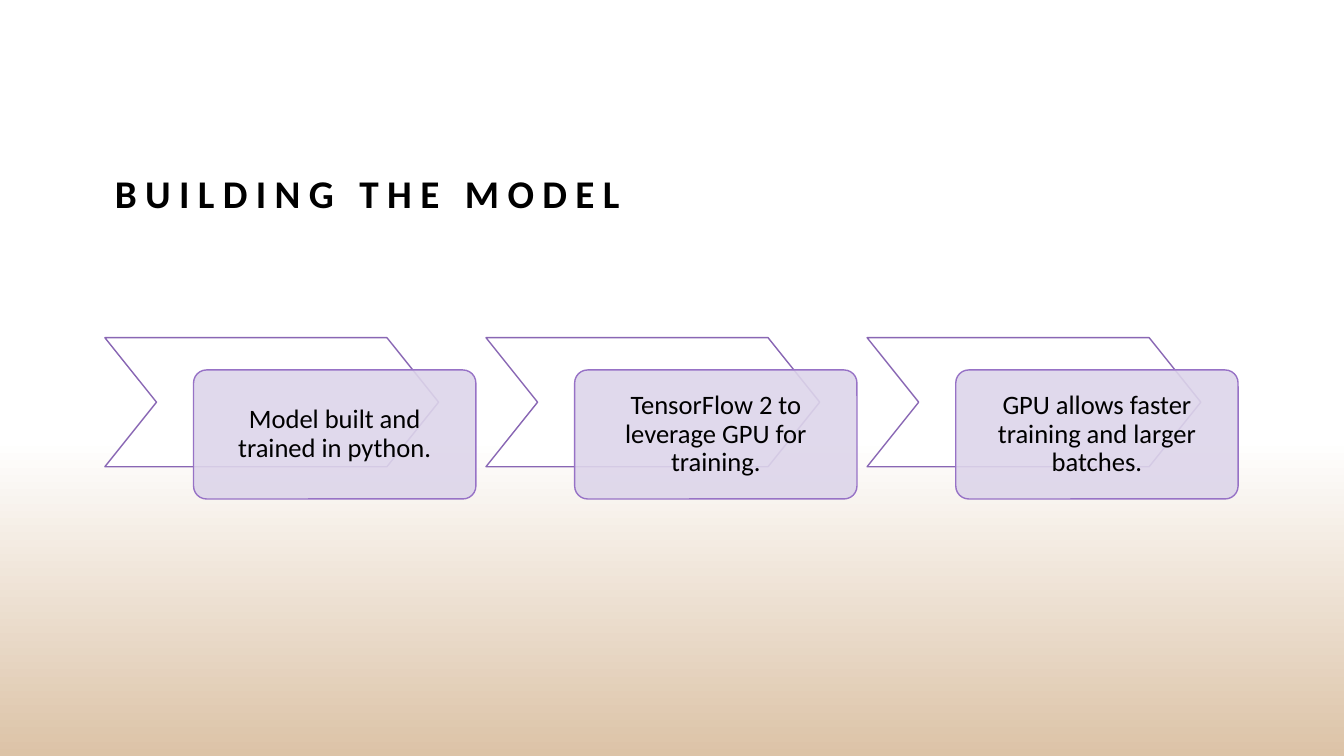
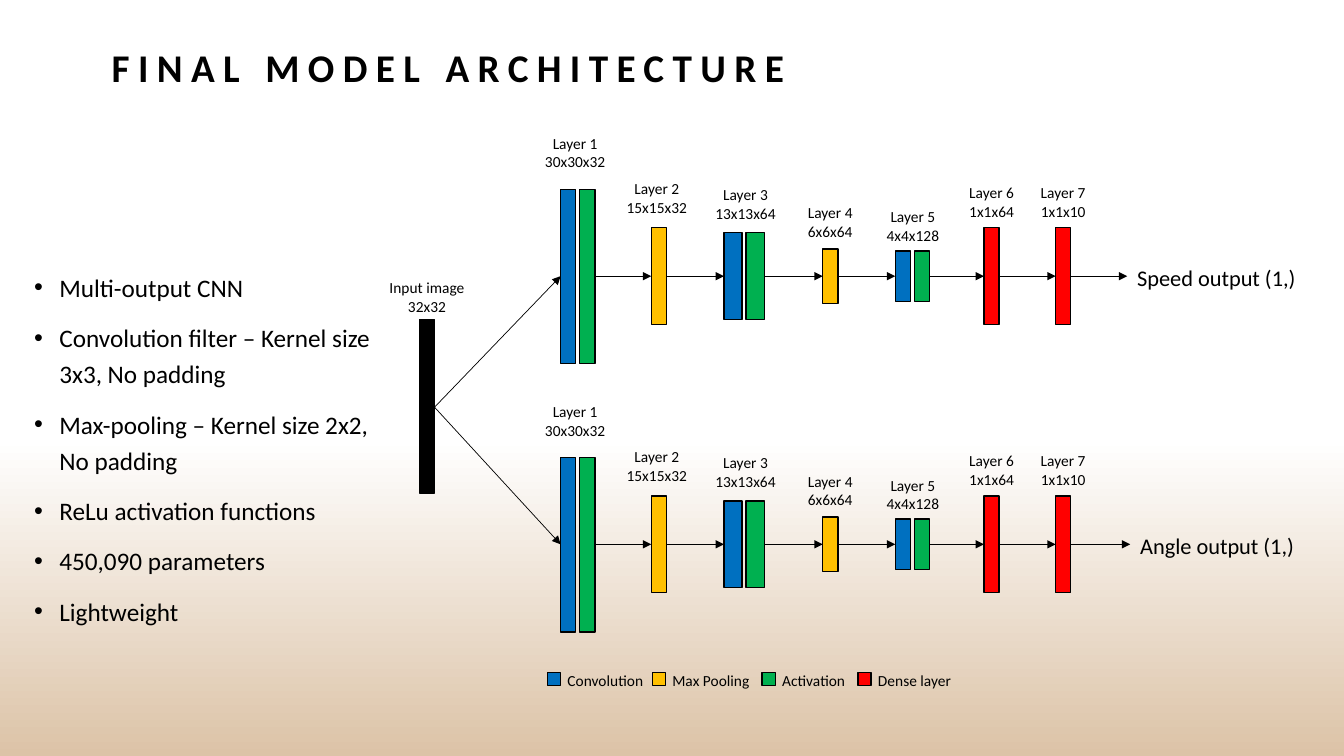
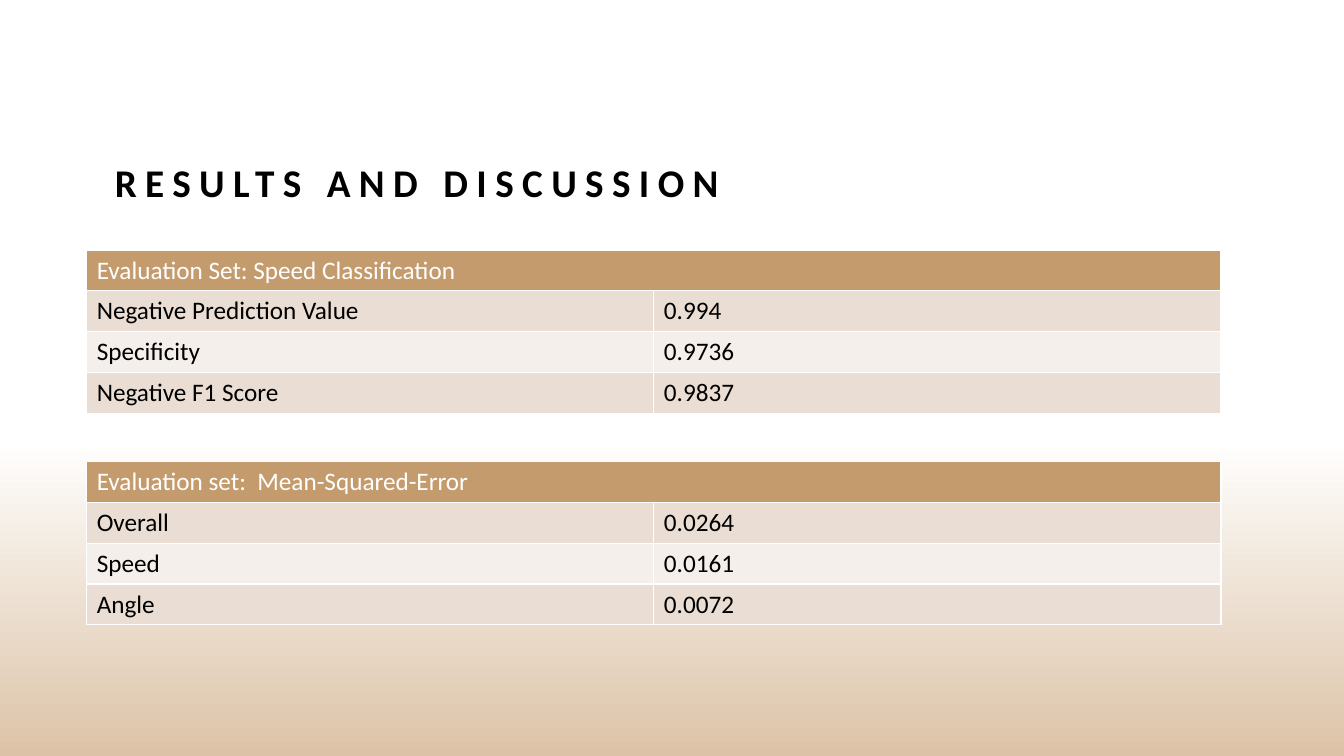
from lxml.etree import SubElement
from pptx import Presentation
from pptx.dml.color import RGBColor
from pptx.enum.shapes import MSO_CONNECTOR, MSO_SHAPE
from pptx.enum.text import MSO_ANCHOR, PP_ALIGN
from pptx.oxml.ns import qn
from pptx.util import Emu, Pt

PX = 9144
WIDTH, HEIGHT = 1333, 750
FONT = "Calibri"

BLACK = RGBColor(0x00, 0x00, 0x00)
WHITE = RGBColor(0xFF, 0xFF, 0xFF)
SAND = RGBColor(0xDC, 0xC3, 0xA7)
VIOLET = RGBColor(0x89, 0x67, 0xB4)
LILAC = RGBColor(0x97, 0x72, 0xC6)
LAVENDER = RGBColor(0xDD, 0xD5, 0xEA)
BRONZE = RGBColor(0xC4, 0x9B, 0x6D)
BEIGE = RGBColor(0xEA, 0xDE, 0xD4)
CREAM = RGBColor(0xF5, 0xEF, 0xEB)
CONVOLUTION = RGBColor(0x00, 0x70, 0xC0)
ACTIVATION = RGBColor(0x00, 0xB0, 0x50)
POOLING = RGBColor(0xFF, 0xC0, 0x00)
DENSE = RGBColor(0xFF, 0x00, 0x00)

STEPS = [
    "Model built and trained in python.",
    "TensorFlow 2 to leverage GPU for training.",
    "GPU allows faster training and larger batches.",
]
FEATURES = [
    "Multi-output CNN",
    "Convolution filter – Kernel size 3x3, No padding",
    "Max-pooling – Kernel size 2x2, No padding",
    "ReLu activation functions",
    "450,090 parameters",
    "Lightweight",
]
BAR_GAP = 4
LAYERS = [
    (556, 15, 173, [CONVOLUTION, ACTIVATION], 517, 146, "30x30x32"),
    (646, 15, 96, [POOLING], 598, 101, "15x15x32"),
    (718, 18, 86, [CONVOLUTION, ACTIVATION], 686, 95, "13x13x64"),
    (816, 15, 54, [POOLING], 770, 77, "6x6x64"),
    (888, 15, 50, [CONVOLUTION, ACTIVATION], 852, 73, "4x4x128"),
    (976, 15, 96, [DENSE], 930, 97, "1x1x64"),
    (1047, 15, 96, [DENSE], 1001, 97, "1x1x10"),
]
BRANCHES = [(274, 1118, "Speed output (1,)"), (540, 1121, "Angle output (1,)")]
LEGEND = [
    (543, CONVOLUTION, "Convolution"),
    (647, POOLING, "Max Pooling"),
    (756, ACTIVATION, "Activation"),
    (851, DENSE, "Dense layer"),
]
TABLES = [
    (248, "Evaluation Set: Speed Classification", [
        ("Negative Prediction Value", "0.994"),
        ("Specificity", "0.9736"),
        ("Negative F1 Score", "0.9837"),
    ]),
    (458, "Evaluation set:  Mean-Squared-Error", [
        ("Overall", "0.0264"),
        ("Speed", "0.0161"),
        ("Angle", "0.0072"),
    ]),
]


def px(*lengths):
    """Turn px lengths into EMU."""
    return [Emu(length * PX) for length in lengths]


class Painter:
    """Hold the deck style and draw on the current slide."""

    def __init__(self):
        """Open an empty deck of the right size."""
        self.deck = Presentation()
        self.deck.slide_width, self.deck.slide_height = px(WIDTH, HEIGHT)
        self.page = None

    def start(self, title, left, bottom):
        """Add a page with the sand band and its title."""
        self.page = self.deck.slides.add_slide(self.deck.slide_layouts[6])
        band = self.shape(MSO_SHAPE.RECTANGLE, 0, 384, WIDTH, 366, WHITE)
        band.fill.gradient()
        band.fill.gradient_angle = 270
        for stop, position, color in zip(band.fill.gradient_stops, (0.14, 1), (WHITE, SAND)):
            stop.position = position
            stop.color.rgb = color
        box = self.text(left, bottom - 90, 1125, 90, [title], 28, spacing=1.2)
        box.text_frame.vertical_anchor = MSO_ANCHOR.BOTTOM
        span = box.text_frame.paragraphs[0].runs[0]
        span.font.bold = True
        span.font._element.set("spc", "600")

    def shape(self, kind, left, top, width, height, fill, line=None):
        """Draw a preset shape."""
        shape = self.page.shapes.add_shape(kind, *px(left, top, width, height))
        shape.shadow.inherit = False
        shape.fill.solid()
        shape.fill.fore_color.rgb = fill
        if line is None:
            shape.line.fill.background()
        else:
            shape.line.color.rgb = line
            shape.line.width = Pt(1)
        return shape

    def bar(self, left, top, width, height, fill):
        """Draw a black-edged rectangle."""
        return self.shape(MSO_SHAPE.RECTANGLE, left, top, width, height, fill, BLACK)

    def put_lines(self, frame, lines, size, color=BLACK, align=PP_ALIGN.LEFT, spacing=1,
                  bullet=False):
        """Fill a text frame with one paragraph for each line."""
        frame.word_wrap = True
        for index, line in enumerate(lines):
            para = frame.paragraphs[0] if index == 0 else frame.add_paragraph()
            para.alignment = align
            para.line_spacing = spacing
            if bullet:
                if index:
                    para.space_before = Pt(10)
                properties = para._p.get_or_add_pPr()
                properties.set("marL", str(25 * PX))
                properties.set("indent", str(-25 * PX))
                SubElement(properties, qn("a:buFont")).set("typeface", "Arial")
                SubElement(properties, qn("a:buChar")).set("char", "•")
            span = para.add_run()
            span.text = line
            span.font.name = FONT
            span.font.size = Pt(size)
            span.font.bold = False
            span.font.color.rgb = color

    def text(self, left, top, width, height, lines, size, **style):
        """Add a text box."""
        box = self.page.shapes.add_textbox(*px(left, top, width, height))
        self.put_lines(box.text_frame, lines, size, **style)
        return box

    def caption(self, left, top, *lines):
        """Add a small centred caption."""
        self.text(left, top, 107, 45, lines, 11, align=PP_ALIGN.CENTER)

    def arrow(self, left, top, right, bottom):
        """Draw a thin arrow."""
        arrow = self.page.shapes.add_connector(
            MSO_CONNECTOR.STRAIGHT, *px(left, top, right, bottom))
        arrow.line.color.rgb = BLACK
        arrow.line.width = Pt(0.5)
        SubElement(arrow.line._get_or_add_ln(), qn("a:tailEnd")).set("type", "triangle")
        SubElement(arrow._element.spPr, qn("a:effectLst"))

    def step(self, left, top, label):
        """Draw a chevron with its label card."""
        chevron = self.shape(MSO_SHAPE.CHEVRON, left, top, 331, 128, WHITE, VIOLET)
        chevron.adjustments[0] = 0.4
        card = self.shape(MSO_SHAPE.ROUNDED_RECTANGLE, left + 88, top + 32, 280, 128,
                          LAVENDER, LILAC)
        card.adjustments[0] = 0.1
        color = card._element.spPr.find(qn("a:solidFill"))[0]
        SubElement(color, qn("a:alpha")).set("val", "90000")
        frame = card.text_frame
        frame.margin_left, frame.margin_right = px(19, 19)
        frame.vertical_anchor = MSO_ANCHOR.MIDDLE
        self.put_lines(frame, [label], 19, align=PP_ALIGN.CENTER, spacing=0.9)

    def branch(self, axis, output_left, output):
        """Draw one row of layers from the input to its output."""
        tip, source = 431, 404
        for number, layer in enumerate(LAYERS, 1):
            left, width, height, colors, label_left, rise, size = layer
            self.arrow(tip, source, left, axis)
            for index, color in enumerate(colors):
                self.bar(left + index * (width + BAR_GAP), axis - height // 2,
                         width, height, color)
            self.caption(label_left, axis - rise, f"Layer {number}", size)
            tip = left + len(colors) * (width + BAR_GAP) - BAR_GAP
            source = axis
        self.arrow(tip, axis, output_left, axis)
        self.text(output_left, axis - 17, 203, 34, [output], 16)

    def cell(self, cell, label, fill, color):
        """Style and fill a table cell."""
        properties = cell._tc.get_or_add_tcPr()
        for side in ("L", "R", "T", "B"):
            border = SubElement(properties, qn(f"a:ln{side}"))
            border.set("w", str(Pt(1)))
            paint = SubElement(border, qn("a:solidFill"))
            SubElement(paint, qn("a:srgbClr")).set("val", str(WHITE))
        cell.fill.solid()
        cell.fill.fore_color.rgb = fill
        if label:
            self.put_lines(cell.text_frame, [label], 18, color)

    def table(self, top, heading, rows):
        """Add a two-column table under a merged heading."""
        frame = self.page.shapes.add_table(len(rows) + 1, 2, *px(86, top, 1125, 162))
        table = frame.table
        table.first_row = False
        table.horz_banding = False
        table.cell(0, 0).merge(table.cell(0, 1))
        for row, labels in enumerate([(heading, ""), *rows]):
            fill = BRONZE if row == 0 else BEIGE if row % 2 else CREAM
            color = WHITE if row == 0 else BLACK
            for column, label in enumerate(labels):
                self.cell(table.cell(row, column), label, fill, color)


def main():
    """Build the three slides."""
    painter = Painter()

    painter.start("BUILDING THE MODEL", 104, 220)
    for index, label in enumerate(STEPS):
        painter.step(104 + index * 378, 335, label)

    painter.start("FINAL MODEL ARCHITECTURE", 101, 95)
    painter.text(24, 259, 355, 429, FEATURES, 18, spacing=1.2, bullet=True)
    painter.bar(416, 317, 15, 172, BLACK)
    painter.caption(370, 271, "Input image", "32x32")
    for axis, output_left, output in BRANCHES:
        painter.branch(axis, output_left, output)
    for left, color, label in LEGEND:
        painter.bar(left, 667, 13, 13, color)
        painter.text(left + 10, 661, 107, 28, [label], 11)

    painter.start("RESULTS AND DISCUSSION", 104, 209)
    for top, heading, rows in TABLES:
        painter.table(top, heading, rows)

    painter.deck.save("out.pptx")


if __name__ == "__main__":
    main()
